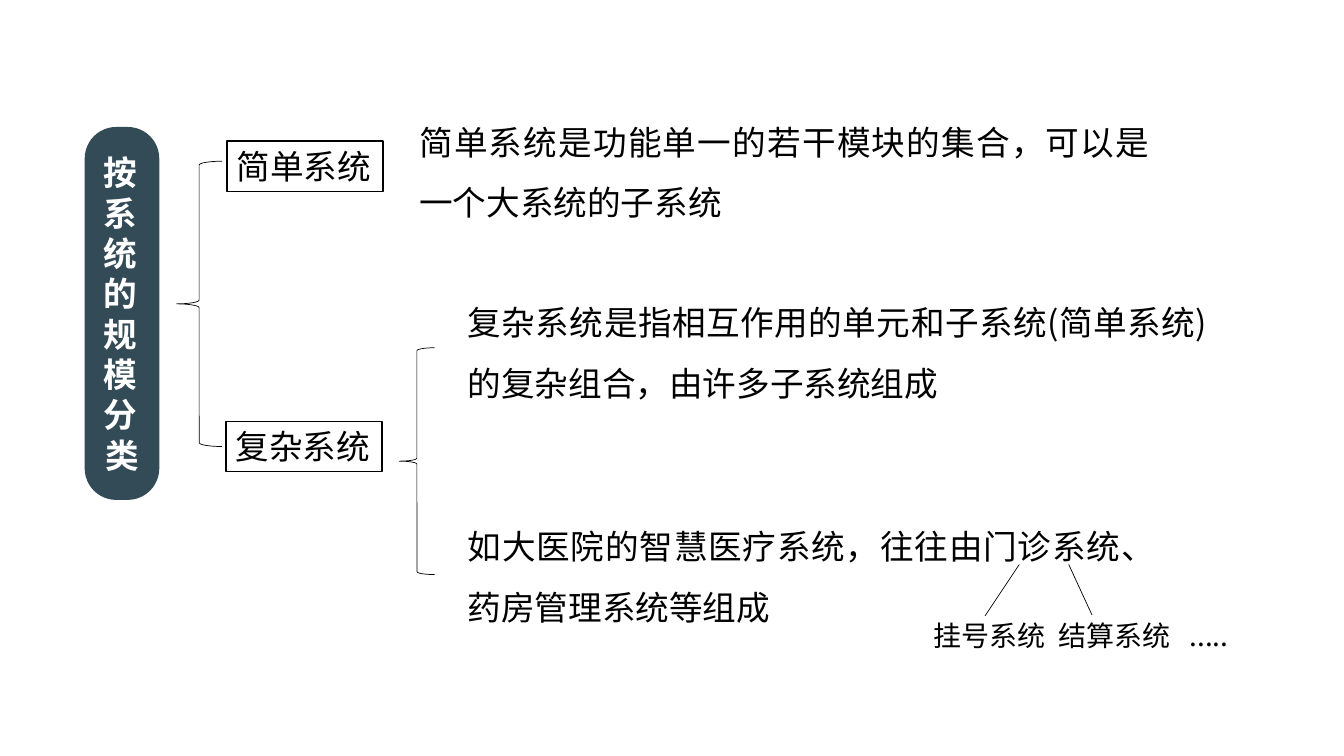
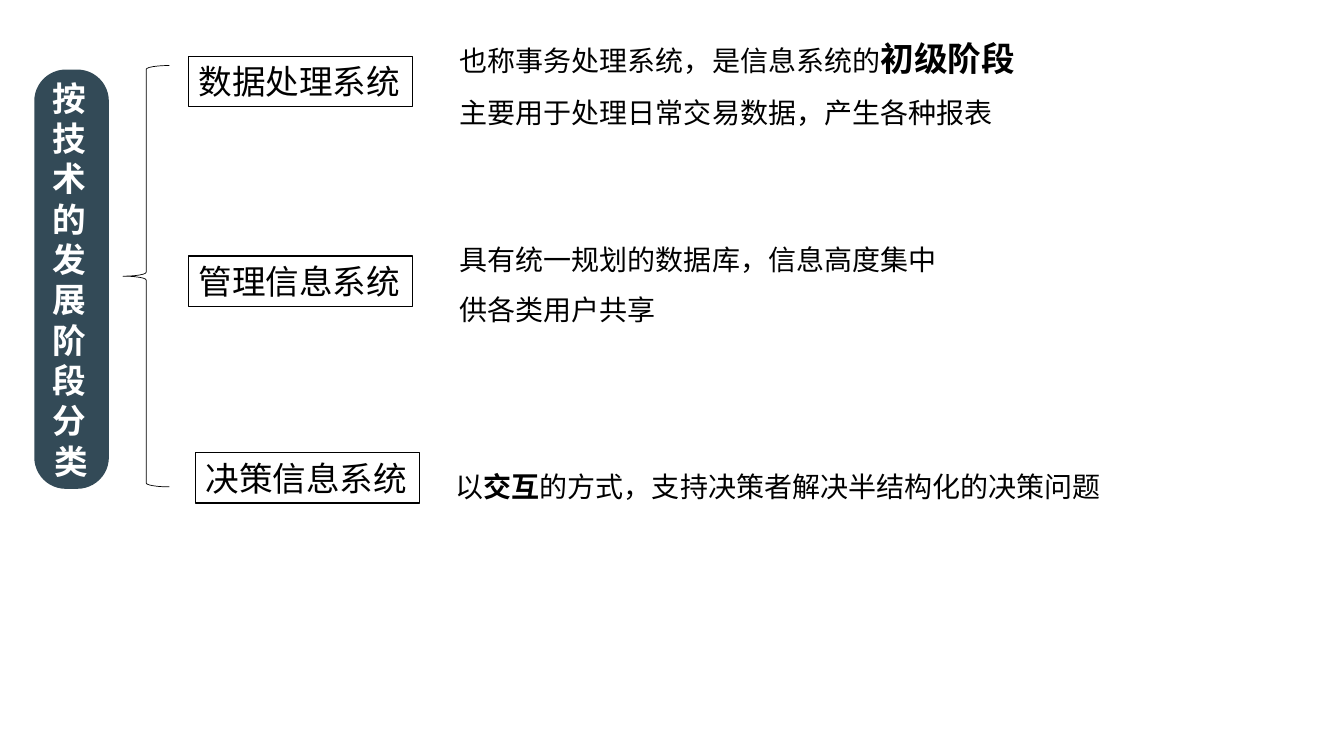
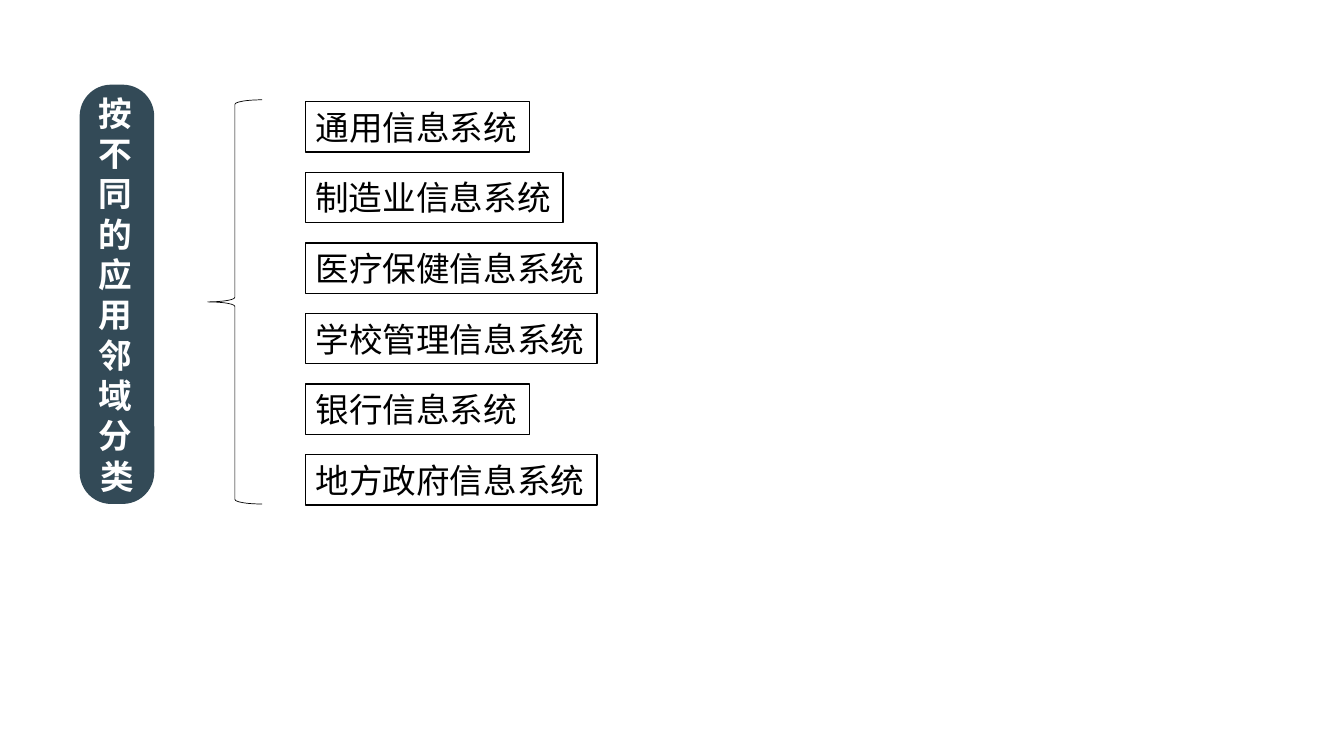
"""Three slides that classify information systems by scale, technical stage and field."""
from lxml.etree import SubElement
from pptx import Presentation
from pptx.dml.color import RGBColor
from pptx.enum.shapes import MSO_CONNECTOR, MSO_SHAPE
from pptx.enum.text import MSO_ANCHOR, MSO_AUTO_SIZE, PP_ALIGN
from pptx.oxml.ns import qn
from pptx.util import Inches, Pt

FONT = "Noto Sans CJK SC"
COLORS = {"band": "334A57", "ink": "000000", "paper": "FFFFFF"}
BOX_HEIGHT, BOX_PADDING, CHAR_WIDTH = 0.5, 0.21, 0.335
FIELD_TOP, FIELD_PITCH = 1.01, 0.7
FIELDS = ["通用信息系统", "制造业信息系统", "医疗保健信息系统",
          "学校管理信息系统", "银行信息系统", "地方政府信息系统"]

SLIDES = [
    {
        "title": ("按系统的规模分类", (0.84, 1.26, 0.74, 3.7)),
        "boxes": [("简单系统", 2.25, 1.4), ("复杂系统", 2.24, 4.18)],
        "braces": [(1.75, 1.6, 0.45, 2.83), (3.96, 3.45, 0.35, 2.25)],
        "notes": [
            ((4.06, 0.96, 7.44, 1.31),
             [[("简单系统是功能单一的若干模块的集合，可以是一个大系统的子系统", 24, False)]]),
            ((4.54, 2.75, 7.53, 1.31),
             [[("复杂系统是指相互作用的单元和子系统(简单系统)的复杂组合，由许多子系统组成", 24, False)]]),
            ((4.54, 4.97, 6.68, 1.31),
             [[("如大医院的智慧医疗系统，往往由门诊系统、药房管理系统等组成", 24, False)]]),
        ],
        "examples": (["挂号系统", "结算系统", "....."], (9.16, 6.09, 3.59, 0.44), (1.24, 2.54)),
        "pointers": [(10.11, 5.6, 9.77, 6.11), (10.6, 5.6, 10.83, 6.1)],
    },
    {
        "title": ("按技术的发展阶段分类", (0.34, 0.69, 0.74, 4.16)),
        "boxes": [("数据处理系统", 1.87, 0.56), ("管理信息系统", 1.87, 2.54),
                  ("决策信息系统", 1.94, 4.49)],
        "braces": [(1.22, 0.65, 0.46, 4.18)],
        "notes": [
            ((4.46, 0.13, 7.4, 1.21),
             [[("也称事务处理系统，是信息系统的", 20, False), ("初级阶段", 24, True)],
              [("主要用于处理日常交易数据，产生各种报表", 20, False)]]),
            ((4.46, 2.19, 7.28, 1.11),
             [[("具有统一规划的数据库，信息高度集中", 20, False)],
              [("供各类用户共享", 20, False)]]),
            ((4.42, 4.44, 7.32, 0.6),
             [[("以", 20, False), ("交互", 20, True),
               ("的方式，支持决策者解决半结构化的决策问题", 20, False)]]),
        ],
    },
    {
        "title": ("按不同的应用邻域分类", (0.79, 0.84, 0.74, 4.16)),
        "boxes": [(field, 3.03, FIELD_TOP + row * FIELD_PITCH)
                  for row, field in enumerate(FIELDS)],
        "braces": [(2.06, 0.99, 0.54, 4.01)],
    },
]


def color(key):
    return RGBColor.from_string(COLORS[key])


def inches(lengths):
    return [Inches(length) for length in lengths]


def apply(target, **formats):
    for attribute, value in formats.items():
        setattr(target, attribute, value)


def add_run(paragraph, text, size, bold=False, ink="ink"):
    run = paragraph.add_run()
    run.text = text
    apply(run.font, name=FONT, size=Pt(size), bold=bold)
    run.font.color.rgb = color(ink)
    SubElement(run.font._element, qn("a:ea")).set("typeface", FONT)
    return run


def add_outline(slide, preset, place, fill=None, line=None, width=0.5):
    outline = slide.shapes.add_shape(preset, *inches(place))
    outline.shadow.inherit = False
    if fill:
        outline.fill.solid()
        outline.fill.fore_color.rgb = color(fill)
    else:
        outline.fill.background()
    if line:
        outline.line.color.rgb = color(line)
        outline.line.width = Pt(width)
    else:
        outline.line.fill.background()
    return outline


def add_title(slide, text, place):
    band = add_outline(slide, MSO_SHAPE.ROUNDED_RECTANGLE, place, fill="band")
    band.adjustments[0] = 0.423
    slide.shapes._spTree.insert(2, band._element)
    title = slide.shapes.title
    apply(title, **dict(zip(("left", "top", "width", "height"), inches(place))))
    apply(title.text_frame, word_wrap=True, auto_size=MSO_AUTO_SIZE.NONE,
          vertical_anchor=MSO_ANCHOR.MIDDLE)
    paragraph = title.text_frame.paragraphs[0]
    paragraph.alignment = PP_ALIGN.CENTER
    add_run(paragraph, text, 24, True, "paper").font._element.set("spc", "300")


def add_box(slide, label, left, top):
    place = (left, top, BOX_PADDING + CHAR_WIDTH * len(label), BOX_HEIGHT)
    box = add_outline(slide, MSO_SHAPE.RECTANGLE, place, "paper", "ink", 1)
    apply(box.text_frame, word_wrap=False, auto_size=MSO_AUTO_SIZE.SHAPE_TO_FIT_TEXT,
          vertical_anchor=MSO_ANCHOR.TOP)
    paragraph = box.text_frame.paragraphs[0]
    paragraph.alignment = PP_ALIGN.LEFT
    add_run(paragraph, label, 24)


def add_frame(slide, place):
    frame = slide.shapes.add_textbox(*inches(place)).text_frame
    apply(frame, word_wrap=True, auto_size=MSO_AUTO_SIZE.SHAPE_TO_FIT_TEXT)
    return frame


def add_note(slide, place, lines):
    frame = add_frame(slide, place)
    for index, parts in enumerate(lines):
        paragraph = frame.add_paragraph() if index else frame.paragraphs[0]
        apply(paragraph, alignment=PP_ALIGN.JUSTIFY, line_spacing=1.5)
        for part in parts:
            add_run(paragraph, *part)


def add_examples(slide, names, place, stops):
    paragraph = add_frame(slide, place).paragraphs[0]
    tabs = SubElement(paragraph._p.get_or_add_pPr(), qn("a:tabLst"))
    for stop in stops:
        tab = SubElement(tabs, qn("a:tab"))
        tab.set("pos", str(Inches(stop)))
        tab.set("algn", "l")
    add_run(paragraph, "\t".join(names), 20)


def add_pointer(slide, ends):
    pointer = slide.shapes.add_connector(MSO_CONNECTOR.STRAIGHT, *inches(ends))
    pointer.line.color.rgb = color("ink")
    pointer.line.width = Pt(0.5)
    SubElement(pointer._element.spPr, qn("a:effectLst"))


def main():
    deck = Presentation()
    apply(deck, slide_width=Inches(13.33), slide_height=Inches(7.5))
    for content in SLIDES:
        slide = deck.slides.add_slide(deck.slide_layouts[5])
        add_title(slide, *content["title"])
        for box in content["boxes"]:
            add_box(slide, *box)
        for place in content["braces"]:
            add_outline(slide, MSO_SHAPE.LEFT_BRACE, place, line="ink")
        for note in content.get("notes", []):
            add_note(slide, *note)
        if "examples" in content:
            add_examples(slide, *content["examples"])
        for ends in content.get("pointers", []):
            add_pointer(slide, ends)
    deck.save("out.pptx")


if __name__ == "__main__":
    main()
